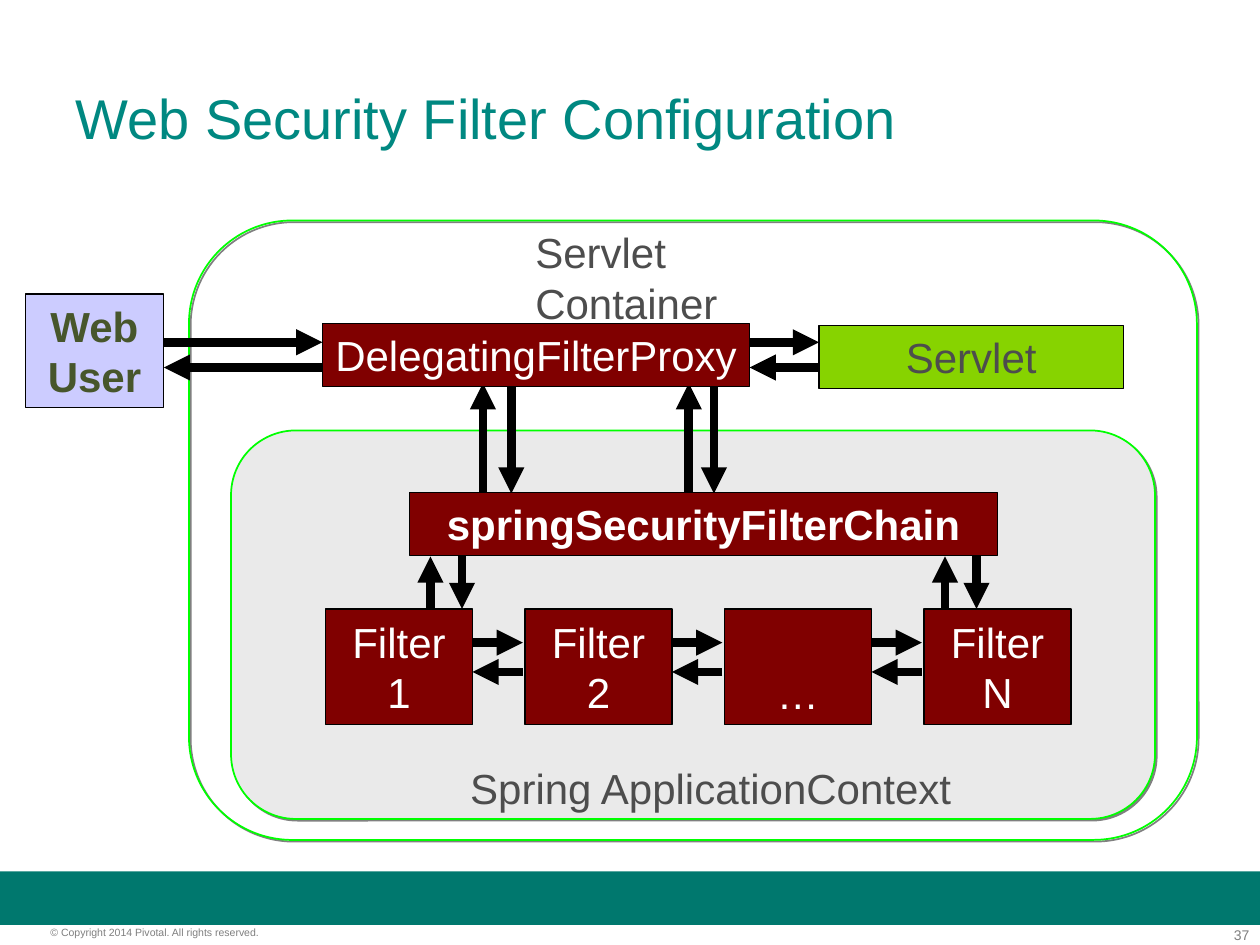
"""Build the slide on web security filter configuration."""
from dataclasses import dataclass
from typing import Optional

import lxml.etree
import pptx
import pptx.dml.color
import pptx.enum.shapes
import pptx.enum.text
import pptx.oxml.ns
import pptx.util

RGB = pptx.dml.color.RGBColor
SHAPE = pptx.enum.shapes.MSO_SHAPE
ANCHOR = pptx.enum.text.MSO_ANCHOR
ALIGN = pptx.enum.text.PP_ALIGN
qn = pptx.oxml.ns.qn

BLACK = RGB(0x00, 0x00, 0x00)
WHITE = RGB(0xFF, 0xFF, 0xFF)
GREY = RGB(0x7F, 0x7F, 0x7F)
DARK_GREY = RGB(0x4D, 0x4D, 0x4D)
PALE_GREY = RGB(0xEA, 0xEA, 0xEA)
SHADOW_GREY = RGB(0x80, 0x80, 0x80)
TEAL = RGB(0x00, 0x88, 0x81)
DARK_TEAL = RGB(0x00, 0x78, 0x6E)
OUTLINE_GREEN = RGB(0x00, 0xFF, 0x00)
LIME = RGB(0x87, 0xD3, 0x00)
LILAC = RGB(0xCC, 0xCC, 0xFF)
OLIVE = RGB(0x47, 0x56, 0x2C)
MAROON = RGB(0x80, 0x00, 0x00)

WIDTH, HEIGHT = pptx.util.Inches(10), pptx.util.Inches(7.5)
COLS, ROWS = 120, 90
FILTER_LEFT, FILTER_TOP, FILTER_WIDTH, FILTER_HEIGHT, FILTER_PITCH = 31, 58, 14, 11, 19


@dataclass(frozen=True)
class Area:
    """A rectangle in grid columns and rows."""

    col: float
    row: float
    cols: float
    rows: float

    def emu(self) -> tuple[int, int, int, int]:
        """Return left, top, width and height in EMU."""
        return x(self.col), y(self.row), x(self.cols), y(self.rows)


@dataclass(frozen=True)
class Box:
    """A filled or outlined shape that may hold centred lines of text."""

    area: Area
    fill: Optional[RGB]
    line: Optional[RGB] = BLACK
    lines: tuple[str, ...] = ()
    color: RGB = WHITE
    bold: bool = False
    anchor: ANCHOR = ANCHOR.MIDDLE
    rounded: bool = False


@dataclass(frozen=True)
class Label:
    """A line of free text."""

    area: Area
    text: str
    size: float
    color: RGB
    align: ALIGN = ALIGN.LEFT
    inset: bool = True
    anchor: ANCHOR = ANCHOR.TOP


@dataclass(frozen=True)
class ArrowPair:
    """A call arrow from start to end and a return arrow beside it."""

    start: float
    end: float
    call: float
    reply: float
    vertical: bool = False


def x(cols: float) -> int:
    """Convert grid columns to EMU."""
    return round(WIDTH * cols / COLS)


def y(rows: float) -> int:
    """Convert grid rows to EMU."""
    return round(HEIGHT * rows / ROWS)


def set_all(target: object, values: dict) -> None:
    """Set each named value on the target."""
    for name, value in values.items():
        setattr(target, name, value)


def write(tf, lines: tuple[str, ...], size: float, color: RGB, align: ALIGN,
          anchor: ANCHOR, bold: bool = False, inset: bool = True) -> None:
    """Write one paragraph per line into a text frame."""
    side, end = (pptx.util.Inches(v if inset else 0) for v in (0.1, 0.05))
    set_all(tf, {"word_wrap": False, "vertical_anchor": anchor, "margin_left": side,
                 "margin_right": side, "margin_top": end, "margin_bottom": end})
    for i, line in enumerate(lines):
        p = tf.add_paragraph() if i else tf.paragraphs[0]
        p.alignment = align
        r = p.add_run()
        r.text = line
        set_all(r.font, {"name": "Arial", "size": pptx.util.Pt(size), "bold": bold})
        r.font.color.rgb = color


def draw_box(s, box: Box) -> None:
    """Draw a box, with an offset shadow when it is rounded."""
    kind = SHAPE.ROUNDED_RECTANGLE if box.rounded else SHAPE.RECTANGLE
    sp = s.shapes.add_shape(kind, *box.area.emu())
    sp.shadow.inherit = False
    if box.fill is None:
        sp.fill.background()
    else:
        sp.fill.solid()
        sp.fill.fore_color.rgb = box.fill
    if box.line is None:
        sp.line.fill.background()
    else:
        sp.line.color.rgb = box.line
        sp.line.width = pptx.util.Pt(1 if box.rounded else 0.75)
    if box.rounded:
        effects = sp.element.spPr.find(qn("a:effectLst"))
        shadow = lxml.etree.SubElement(effects, qn("a:outerShdw"), dist=str(pptx.util.Pt(1.4)),
                                       dir="2700000", algn="ctr", rotWithShape="0")
        lxml.etree.SubElement(shadow, qn("a:srgbClr"), val=str(SHADOW_GREY))
    if box.lines:
        write(sp.text_frame, box.lines, 24, box.color, ALIGN.CENTER, box.anchor, box.bold)


def draw_label(s, label: Label) -> None:
    """Draw a text box."""
    sp = s.shapes.add_textbox(*label.area.emu())
    write(sp.text_frame, (label.text,), label.size, label.color, label.align,
          label.anchor, inset=label.inset)


def draw_arrow(s, start: tuple[float, float], end: tuple[float, float]) -> None:
    """Draw a thick arrow between two grid points."""
    sp = s.shapes.add_connector(pptx.enum.shapes.MSO_CONNECTOR.STRAIGHT,
                                x(start[0]), y(start[1]), x(end[0]), y(end[1]))
    sp.line.color.rgb = BLACK
    sp.line.width = pptx.util.Pt(5)
    properties = sp.element.spPr
    lxml.etree.SubElement(properties.find(qn("a:ln")), qn("a:tailEnd"), type="triangle")
    lxml.etree.SubElement(properties, qn("a:effectLst"))


def draw_pair(s, pair: ArrowPair) -> None:
    """Draw the call arrow and the return arrow of a pair."""
    for start, end, lane in ((pair.start, pair.end, pair.call),
                             (pair.end, pair.start, pair.reply)):
        if pair.vertical:
            draw_arrow(s, (lane, start), (lane, end))
        else:
            draw_arrow(s, (start, lane), (end, lane))


def filter_area(i: int) -> Area:
    """Return the place of a filter in its row."""
    return Area(FILTER_LEFT + i * FILTER_PITCH, FILTER_TOP, FILTER_WIDTH, FILTER_HEIGHT)


FRAMES = (
    Box(Area(0, 83, 120, 5.1), DARK_TEAL, None),
    Box(Area(22, 41, 88, 37), PALE_GREY, OUTLINE_GREEN, rounded=True),
    Box(Area(18, 21, 96, 59), None, OUTLINE_GREEN, rounded=True),
)
PAIRS = (
    ArrowPair(15.6, 30.7, 32.6, 35),
    ArrowPair(71.4, 78, 32.6, 35),
    ArrowPair(36.5, 47, 48.7, 46, True),
    ArrowPair(36.5, 47, 68, 65.6, True),
    ArrowPair(53, 58, 44, 41, True),
    ArrowPair(53, 58, 93, 90, True),
    *(ArrowPair(filter_area(i).col + FILTER_WIDTH, filter_area(i + 1).col - 0.2, 61.2, 64)
      for i in range(3)),
)
BOXES = (
    Box(Area(2.4, 28, 13.2, 10.8), LILAC, lines=("Web", "User"), color=OLIVE, bold=True),
    Box(Area(78, 31, 29, 6), LIME, lines=("Servlet",), color=DARK_GREY),
    Box(Area(30.7, 30.8, 40.7, 6), MAROON, lines=("DelegatingFilterProxy",)),
    Box(Area(39, 46.9, 56, 6), MAROON, lines=("springSecurityFilterChain",), bold=True),
    *(Box(filter_area(i), MAROON, lines=("Filter", n)) for i, n in ((0, "1"), (1, "2"), (3, "N"))),
    Box(filter_area(2), MAROON, lines=("…",), anchor=ANCHOR.BOTTOM),
)
LABELS = (
    Label(Area(6, 7.3, 108, 7.7), "Web Security Filter Configuration", 32, TEAL,
          anchor=ANCHOR.MIDDLE),
    Label(Area(49.8, 21, 33.2, 6), "Servlet Container", 24, DARK_GREY),
    Label(Area(43.6, 72, 48.4, 6), "Spring ApplicationContext", 24, DARK_GREY),
    Label(Area(4.8, 88.2, 29.9, 1.2), "© Copyright 2014 Pivotal. All rights reserved.", 6, GREY,
          inset=False),
    Label(Area(112, 88.2, 7, 1.6), "37", 8, GREY, ALIGN.RIGHT, False),
)


def main() -> None:
    """Build and save the slide."""
    prs = pptx.Presentation()
    set_all(prs, {"slide_width": WIDTH, "slide_height": HEIGHT})
    s = prs.slides.add_slide(prs.slide_layouts[6])
    for items, draw in ((FRAMES, draw_box), (PAIRS, draw_pair),
                        (BOXES, draw_box), (LABELS, draw_label)):
        for item in items:
            draw(s, item)
    prs.save("out.pptx")


if __name__ == "__main__":
    main()
